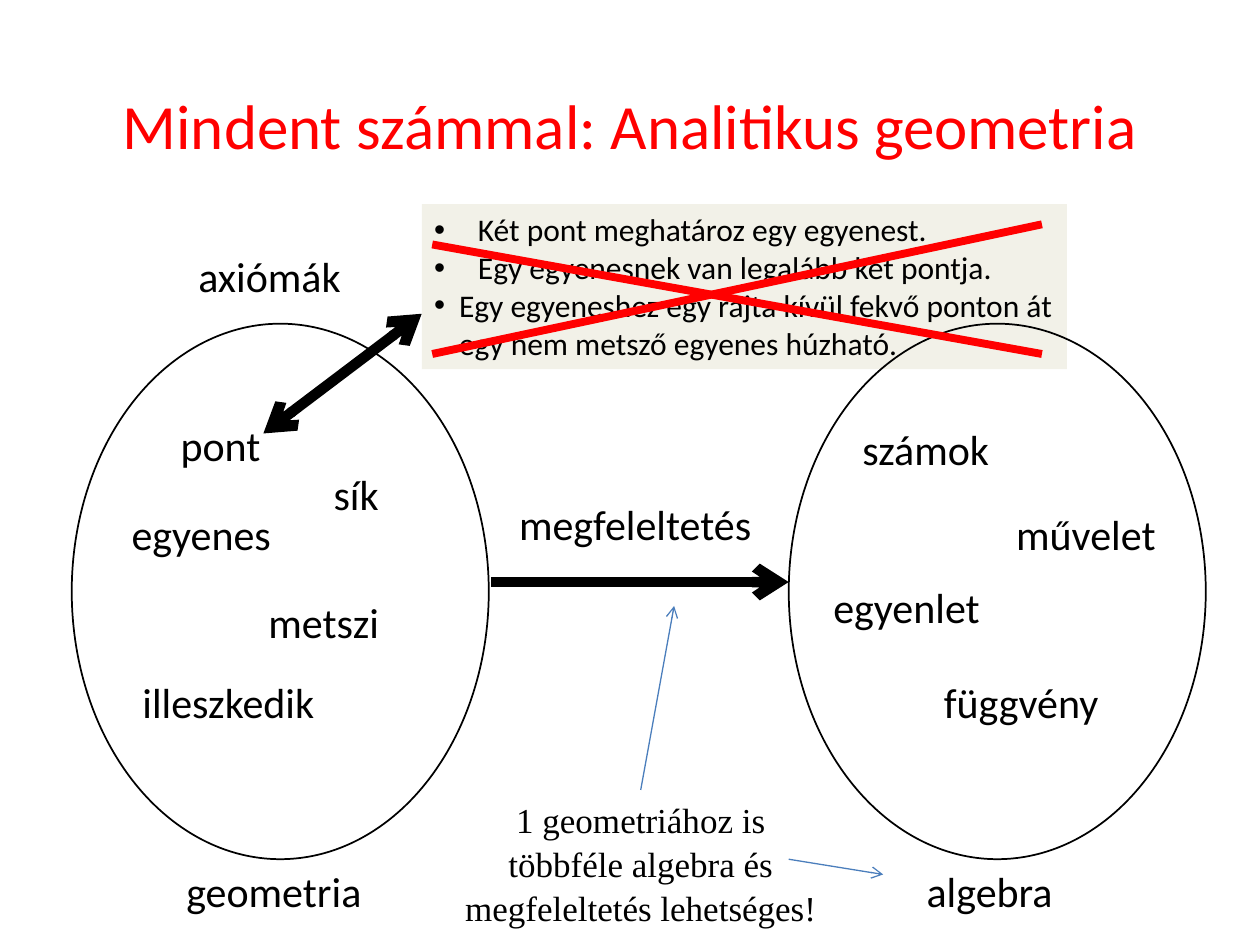
from pptx import Presentation
from pptx.dml.color import RGBColor
from pptx.enum.shapes import MSO_CONNECTOR, MSO_SHAPE
from pptx.enum.text import MSO_ANCHOR, PP_ALIGN
from pptx.oxml.ns import qn
from pptx.util import Pt
from lxml.etree import SubElement

BLACK = RGBColor(0, 0, 0)
RED = RGBColor(255, 0, 0)
BLUE = RGBColor(0x4B, 0x7E, 0xBC)
CREAM = RGBColor(0xF2, 0xF1, 0xE8)

WORDS = [
    ("geometria", 98.5, 491, 116),
    ("pont", 96, 236, 60),
    ("sík", 183.5, 264, 40),
    ("egyenes", 67.5, 287, 95),
    ("illeszkedik", 73.5, 383, 114),
    ("metszi", 146, 337.5, 78),
    ("axiómák", 105, 139.5, 98),
    ("algebra", 522, 491, 87),
    ("számok", 484.5, 238.5, 89),
    ("művelet", 573, 287, 95),
    ("egyenlet", 468.5, 328.5, 99),
    ("megfeleltetés", 288.5, 281.5, 149),
    ("függvény", 530.5, 383, 106),
]

AXIOMS = [
    ("Két pont meghatároz egy egyenest.", 25),
    ("Egy egyenesnek van legalább két pontja.", 25),
    ("Egy egyeneshez egy rajta kívül fekvő ponton át "
     "egy nem metsző egyenes húzható.", 14.2),
]


class Board:
    font = "Calibri"
    serif = "Times New Roman"

    def __init__(self, slide):
        self.slide = slide
        self.shapes = slide.shapes

    def style(self, para, size, color=BLACK, font=None, align=PP_ALIGN.CENTER):
        para.alignment = align
        for run in para.runs:
            run.font.size = Pt(size)
            run.font.name = font or self.font
            run.font.color.rgb = color

    def text(self, words, left, top, width, height=36, size=24,
             color=BLACK, font=None, wrap=False, space=None):
        box = self.shapes.add_textbox(Pt(left), Pt(top), Pt(width), Pt(height))
        frame = box.text_frame
        frame.word_wrap = wrap
        frame.text = words
        for para in frame.paragraphs:
            para.line_spacing = space
            self.style(para, size, color, font)
        return box

    def title(self, words, left, top, width, height):
        box = self.text(words, left, top, width, height, 36, RED, wrap=True)
        box.text_frame.vertical_anchor = MSO_ANCHOR.MIDDLE

    def panel(self, items, left, top, width, height):
        box = self.shapes.add_shape(
            MSO_SHAPE.RECTANGLE, Pt(left), Pt(top), Pt(width), Pt(height))
        box.shadow.inherit = False
        box.fill.solid()
        box.fill.fore_color.rgb = CREAM
        box.line.fill.background()
        frame = box.text_frame
        frame.word_wrap = True
        frame.vertical_anchor = MSO_ANCHOR.TOP
        frame.text = "\n".join(words for words, _ in items)
        for para, (_, indent) in zip(frame.paragraphs, items):
            self.style(para, 18, align=PP_ALIGN.LEFT)
            props = para._p.get_or_add_pPr()
            props.set("marL", str(Pt(indent)))
            props.set("indent", str(-Pt(indent)))
            SubElement(props, qn("a:buFont"), typeface="Arial")
            SubElement(props, qn("a:buChar"), char="•")

    def oval(self, left, top, width, height):
        oval = self.shapes.add_shape(
            MSO_SHAPE.OVAL, Pt(left), Pt(top), Pt(width), Pt(height))
        oval.shadow.inherit = False
        oval.fill.background()
        oval.line.color.rgb = BLACK
        oval.line.width = Pt(1)

    def line(self, start, end, color, width, tips=()):
        line = self.shapes.add_connector(
            MSO_CONNECTOR.STRAIGHT, *map(Pt, start + end))
        line.line.color.rgb = color
        line.line.width = Pt(width)
        stroke = line.line._get_or_add_ln()
        for tip in tips:
            SubElement(stroke, qn(f"a:{tip}"), type="arrow")
        SubElement(line._element.spPr, qn("a:effectLst"))
        return line


def main():
    deck = Presentation()
    deck.slide_width, deck.slide_height = Pt(720), Pt(540)
    board = Board(deck.slides.add_slide(deck.slide_layouts[6]))

    board.panel(AXIOMS, 241, 116.7, 368.7, 94.3)
    board.title("Mindent számmal: Analitikus geometria", 54, 26, 612, 90)
    for left in (41, 450.7):
        board.oval(left, 185, 238.3, 306)
    for word, left, top, width in WORDS:
        board.text(word, left, top, width)
    note = board.text(
        "1 geometriához is\ntöbbféle algebra és megfeleltetés lehetséges!",
        257.8, 451.4, 216.7, 80, 20, font=Board.serif, wrap=True, space=1.05)

    board.line((150.5, 247.7), (241, 179.3), BLACK, 6, ("headEnd", "tailEnd"))
    board.line((280.8, 332.6), (450.7, 332.6), BLACK, 6, ("tailEnd",))
    board.line((247, 139.7), (595.4, 202.3), RED, 4.5)
    board.line((247, 202.3), (595.4, 128.2), RED, 4.5)
    pointer = board.line(
        (366.2, 451.4), (385.2, 346.3), BLUE, 0.75, ("tailEnd",))
    pointer.begin_connect(note, 0)
    board.line((450.7, 491), (504.7, 499.7), BLUE, 0.75, ("tailEnd",))

    deck.save("out.pptx")


if __name__ == "__main__":
    main()
